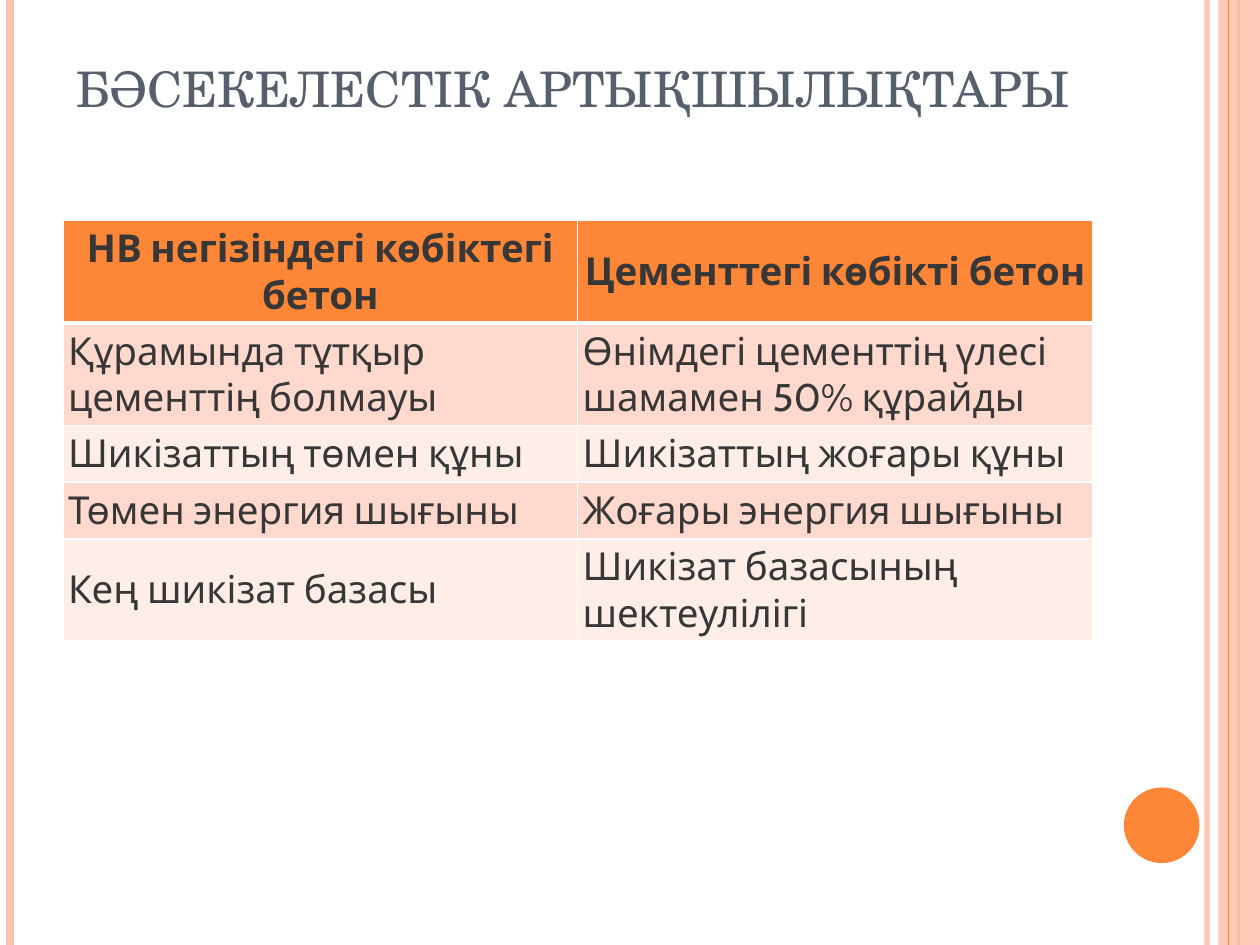
from lxml.etree import SubElement
from pptx import Presentation
from pptx.dml.color import RGBColor
from pptx.enum.shapes import MSO_CONNECTOR as Connector, MSO_SHAPE as Shape
from pptx.enum.text import MSO_ANCHOR as Anchor, PP_ALIGN as Align
from pptx.oxml.ns import qn
from pptx.util import Inches, Pt

ORANGE = RGBColor(0xFE, 0x86, 0x37)
PEACH = RGBColor(0xFE, 0xC3, 0xAE)
BAND_DARK = RGBColor(0xFF, 0xD9, 0xCE)
BAND_LIGHT = RGBColor(0xFF, 0xED, 0xE8)
WHITE = RGBColor(0xFF, 0xFF, 0xFF)
SLATE = RGBColor(0x57, 0x5F, 0x6D)
CHARCOAL = RGBColor(0x37, 0x37, 0x37)

TITLE = "БӘСЕКЕЛЕСТІК АРТЫҚШЫЛЫҚТАРЫ"
ROWS = [
    ("НВ негізіндегі көбіктегі бетон", "Цементтегі көбікті бетон"),
    ("Құрамында тұтқыр цементтің болмауы", "Өнімдегі цементтің үлесі шамамен 50% құрайды"),
    ("Шикізаттың төмен құны", "Шикізаттың жоғары құны"),
    ("Төмен энергия шығыны", "Жоғары энергия шығыны"),
    ("Кең шикізат базасы", "Шикізат базасының шектеулілігі"),
]
ROW_HEIGHTS = [0.81, 0.81, 0.45, 0.45, 0.81]


def set_alpha(fill, percent):
    """Make a solid fill partly transparent."""
    color = fill._xPr.find(qn("a:solidFill"))[0]
    SubElement(color, qn("a:alpha"), val=str(percent * 1000))


def add_stripe(slide, x, height, color, width, alpha=100):
    """Draw a vertical line from the top edge of the slide."""
    line = slide.shapes.add_connector(
        Connector.STRAIGHT, Inches(x), 0, Inches(x), Inches(height))
    line.line.color.rgb = color
    line.line.width = Pt(width)
    if alpha < 100:
        set_alpha(line.line.fill, alpha)
    SubElement(line._element.spPr, qn("a:effectLst"))


def add_solid(slide, kind, left, top, width, height, color):
    """Draw a borderless filled shape."""
    shape = slide.shapes.add_shape(
        kind, Inches(left), Inches(top), Inches(width), Inches(height))
    shape.shadow.inherit = False
    shape.fill.solid()
    shape.fill.fore_color.rgb = color
    shape.line.fill.background()
    return shape


def add_frame(slide, width, height):
    """Draw the stripes at both edges and the round badge."""
    add_stripe(slide, width - 0.42, height, PEACH, 3, alpha=93)
    add_stripe(slide, 0.08, height, PEACH, 4.5)
    add_stripe(slide, width - 0.17, height, ORANGE, 1.5)
    band = add_solid(slide, Shape.RECTANGLE, width - 0.33, 0, 0.33, height, PEACH)
    set_alpha(band.fill, 87)
    add_stripe(slide, width - 0.25, height, ORANGE, 0.75)
    add_solid(slide, Shape.OVAL, width - 1.08, height - 1.25, 0.6, 0.6, ORANGE)


def add_title(slide, left, top, width, height):
    """Write the heading at the bottom of its box."""
    box = slide.shapes.add_textbox(
        Inches(left), Inches(top), Inches(width), Inches(height))
    frame = box.text_frame
    frame.word_wrap = True
    frame.vertical_anchor = Anchor.BOTTOM
    paragraph = frame.paragraphs[0]
    paragraph.text = TITLE
    paragraph.font.name = "TeX Gyre Schola"
    paragraph.font.size = Pt(28)
    paragraph.font.color.rgb = SLATE


def set_borders(cell, bottom, top):
    """Put white borders around a cell."""
    properties = cell._tc.get_or_add_tcPr()
    widths = {"lnL": 1, "lnR": 1, "lnT": top, "lnB": bottom}
    for index, (tag, width) in enumerate(widths.items()):
        line = properties.makeelement(qn(f"a:{tag}"), {"w": str(Pt(width))})
        fill = SubElement(line, qn("a:solidFill"))
        SubElement(fill, qn("a:srgbClr"), val=str(WHITE))
        properties.insert(index, line)


def fill_cell(cell, text, row):
    """Write and style one cell according to its row."""
    header = row == 0
    cell.fill.solid()
    cell.fill.fore_color.rgb = ORANGE if header else (BAND_LIGHT, BAND_DARK)[row % 2]
    set_borders(cell, bottom=3 if header else 1, top=3 if row == 1 else 1)
    cell.margin_left = cell.margin_right = Inches(0.04)
    cell.margin_top = cell.margin_bottom = Inches(0.04)
    cell.vertical_anchor = Anchor.MIDDLE
    paragraph = cell.text_frame.paragraphs[0]
    paragraph.text = text
    paragraph.alignment = Align.CENTER if header else Align.LEFT
    paragraph.font.name = "Cabin"
    paragraph.font.size = Pt(22)
    paragraph.font.bold = header
    paragraph.font.color.rgb = CHARCOAL


def add_comparison(slide, left, top, width):
    """Build the two-column comparison table."""
    table = slide.shapes.add_table(
        len(ROWS), 2, Inches(left), Inches(top),
        Inches(width), Inches(sum(ROW_HEIGHTS))).table
    for row, (texts, height) in enumerate(zip(ROWS, ROW_HEIGHTS)):
        table.rows[row].height = Inches(height)
        for column, text in enumerate(texts):
            fill_cell(table.cell(row, column), text, row)


def main():
    """Build and save the presentation."""
    presentation = Presentation()
    presentation.slide_width = Inches(10)
    presentation.slide_height = Inches(7.5)
    slide = presentation.slides.add_slide(presentation.slide_layouts[6])
    add_frame(slide, 10, 7.5)
    add_title(slide, 0.51, -0.27, 8.17, 1.25)
    add_comparison(slide, 0.5, 1.75, 8.17)
    presentation.save("out.pptx")


if __name__ == "__main__":
    main()
